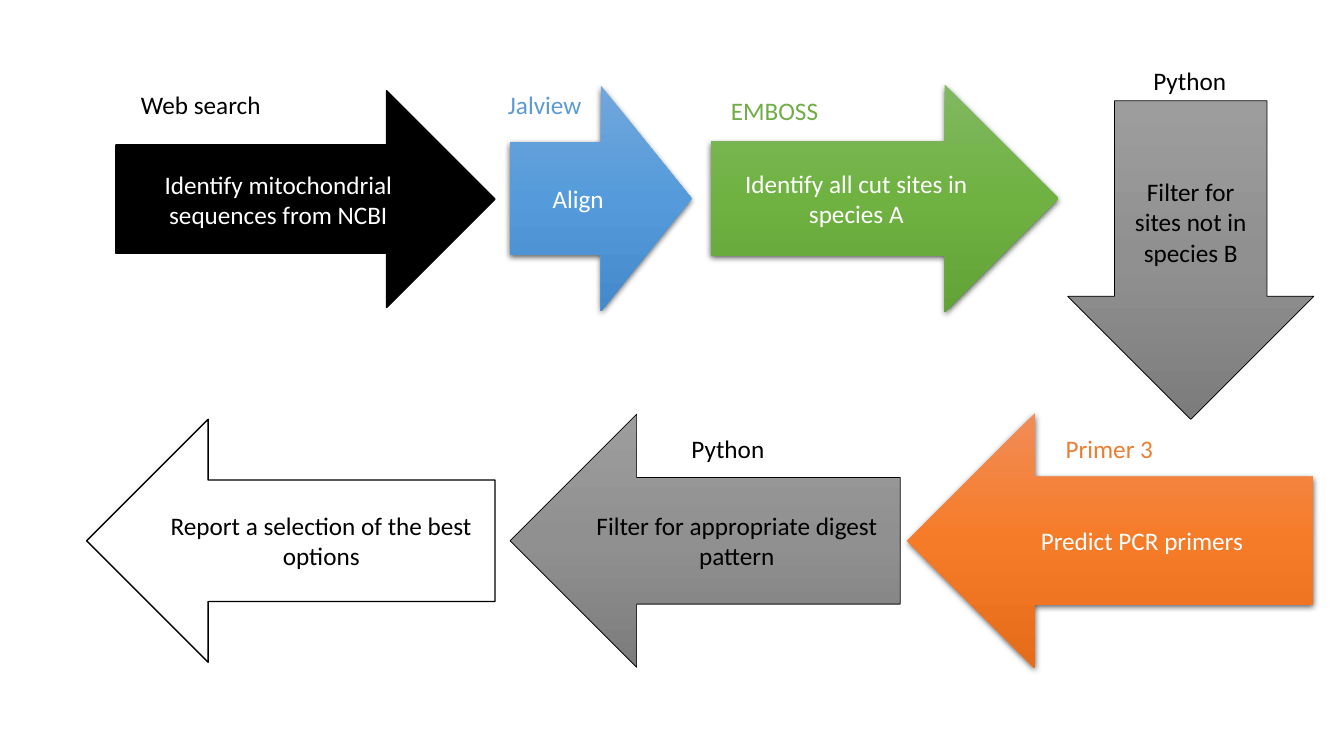
"""Build a one-slide workflow of block arrows for designing a species digest test."""
from copy import deepcopy
from dataclasses import dataclass

from lxml import etree
from pptx import Presentation
from pptx.dml.color import RGBColor
from pptx.enum.shapes import MSO_SHAPE
from pptx.enum.text import MSO_ANCHOR, MSO_AUTO_SIZE, PP_ALIGN
from pptx.oxml.ns import qn
from pptx.util import Inches, Pt

RIGHT = MSO_SHAPE.RIGHT_ARROW
DOWN = MSO_SHAPE.DOWN_ARROW
LEFT = MSO_SHAPE.LEFT_ARROW
MIDDLE = MSO_ANCHOR.MIDDLE
CENTER = PP_ALIGN.CENTER
ALIGN_LEFT = PP_ALIGN.LEFT
FIT_SHAPE = MSO_AUTO_SIZE.SHAPE_TO_FIT_TEXT
BLANK_LAYOUT = 6


@dataclass(frozen=True)
class Theme:
    """Colours, gradients and type of the workflow."""
    font: str = "Calibri"
    size: int = 18
    black: str = "000000"
    white: str = "FFFFFF"
    blue: str = "5B9BD5"
    green: str = "70AD47"
    orange: str = "ED7D31"
    blue_fade: tuple = ("71A6DB", "559BDB", "448ACA")
    green_fade: tuple = ("81B861", "6FB242", "62A336")
    gray_fade: tuple = ("9D9D9D", "909090", "7C7C7C")
    orange_fade: tuple = ("F18C57", "F67B28", "E56C19")


class WorkflowSlide:
    """Draws workflow elements on the current slide in one style."""

    def __init__(self, slide, theme):
        self.slide = slide
        self.theme = theme

    def add_text(self, text_frame, text, color, alignment):
        """Add one styled run to the first paragraph."""
        paragraph = text_frame.paragraphs[0]
        paragraph.alignment = alignment
        run = paragraph.add_run()
        run.text = text
        run.font.name = self.theme.font
        run.font.size = Pt(self.theme.size)
        run.font.color.rgb = RGBColor.from_string(color)

    def fade(self, shape, colors):
        """Fill a shape from top to bottom with evenly spaced colours."""
        shape.fill.gradient()
        shape.fill.gradient_angle = 270
        stop_list = shape.element.spPr.find(".//" + qn("a:gsLst"))
        while len(stop_list) < len(colors):
            stop_list.append(deepcopy(stop_list[0]))
        for index, stop in enumerate(shape.fill.gradient_stops):
            stop.position = index / (len(colors) - 1)
            stop.color.rgb = RGBColor.from_string(colors[index])

    def cast_shadow(self, shape):
        """Give a shape a soft shadow straight below it."""
        effects = shape.element.spPr.find(qn("a:effectLst"))
        shadow = etree.SubElement(
            effects, qn("a:outerShdw"), blurRad=str(Pt(4.5)), dist=str(Pt(1.5)),
            dir="5400000", algn="ctr", rotWithShape="0")
        color = etree.SubElement(shadow, qn("a:srgbClr"), val=self.theme.black)
        etree.SubElement(color, qn("a:alpha"), val="63000")

    def arrow(self, kind, box, text, fill, text_color, line_width=0, shaft=0.5):
        """Add a block arrow, outlined when it has a line width, else shadowed."""
        shape = self.slide.shapes.add_shape(kind, *map(Inches, box))
        shape.adjustments[0] = shaft
        shape.shadow.inherit = False
        if isinstance(fill, tuple):
            self.fade(shape, fill)
        else:
            shape.fill.solid()
            shape.fill.fore_color.rgb = RGBColor.from_string(fill)
        if line_width:
            shape.line.color.rgb = RGBColor.from_string(self.theme.black)
            shape.line.width = Pt(line_width)
        else:
            shape.line.fill.background()
            self.cast_shadow(shape)
        shape.text_frame.word_wrap = True
        shape.text_frame.vertical_anchor = MIDDLE
        self.add_text(shape.text_frame, text, text_color, CENTER)

    def label(self, left, top, width, text, color):
        """Add the name of the tool used in a step."""
        text_box = self.slide.shapes.add_textbox(
            Inches(left), Inches(top), Inches(width), Inches(0.4))
        text_box.text_frame.word_wrap = False
        text_box.text_frame.auto_size = FIT_SHAPE
        self.add_text(text_box.text_frame, text, color, ALIGN_LEFT)


def main():
    """Build and save the presentation."""
    presentation = Presentation()
    presentation.slide_width = Inches(13.33)
    presentation.slide_height = Inches(7.5)
    theme = Theme()
    slide = presentation.slides.add_slide(presentation.slide_layouts[BLANK_LAYOUT])
    workflow = WorkflowSlide(slide, theme)
    black, white = theme.black, theme.white

    workflow.arrow(RIGHT, (1.15, 0.9, 3.76, 2.15),
                   "Identify mitochondrial sequences from NCBI", black, white, 1)
    workflow.arrow(RIGHT, (5.06, 0.85, 1.8, 2.24), "Align", theme.blue_fade, white)
    workflow.arrow(RIGHT, (7.05, 0.84, 3.45, 2.26),
                   "Identify all cut sites in species A", theme.green_fade, white)
    workflow.arrow(DOWN, (10.59, 1, 2.44, 3.16),
                   "Filter for sites not in species B", theme.gray_fade, black, 0.5, 0.62)
    workflow.arrow(LEFT, (9, 4.1, 4.02, 2.53),
                   "Predict PCR primers", theme.orange_fade, white)
    workflow.arrow(LEFT, (5.06, 4.11, 3.87, 2.51),
                   "Filter for appropriate digest pattern", theme.gray_fade, black, 0.5)
    workflow.arrow(LEFT, (0.86, 4.16, 4.05, 2.41),
                   "Report a selection of the best options", white, black, 1)

    for label in (
        (1.3, 0.84, 1.4, "Web search", black),
        (4.94, 0.84, 0.94, "Jalview", theme.blue),
        (7.15, 0.9, 1.07, "EMBOSS", theme.green),
        (11.34, 0.6, 0.93, "Python", black),
        (6.76, 4.25, 0.93, "Python", black),
        (10.47, 4.25, 1.08, "Primer 3", theme.orange),
    ):
        workflow.label(*label)

    presentation.save("out.pptx")


if __name__ == "__main__":
    main()
